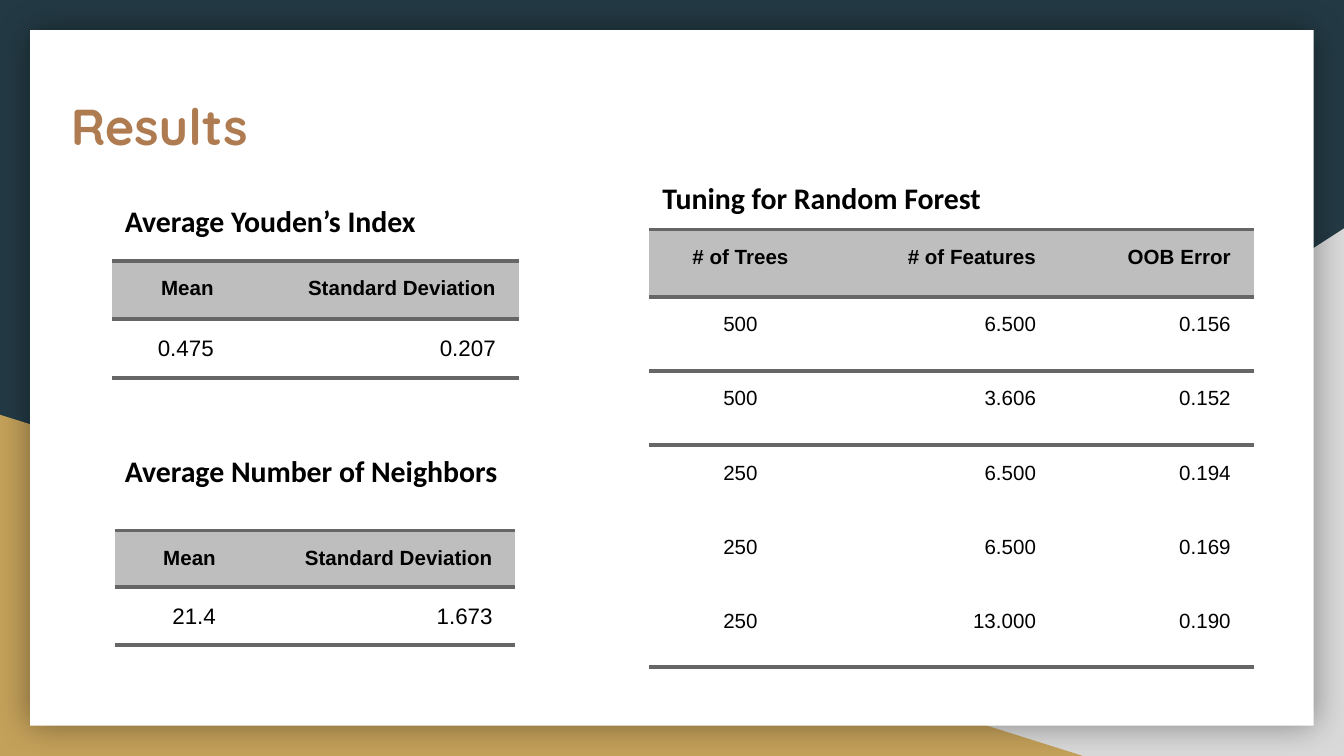
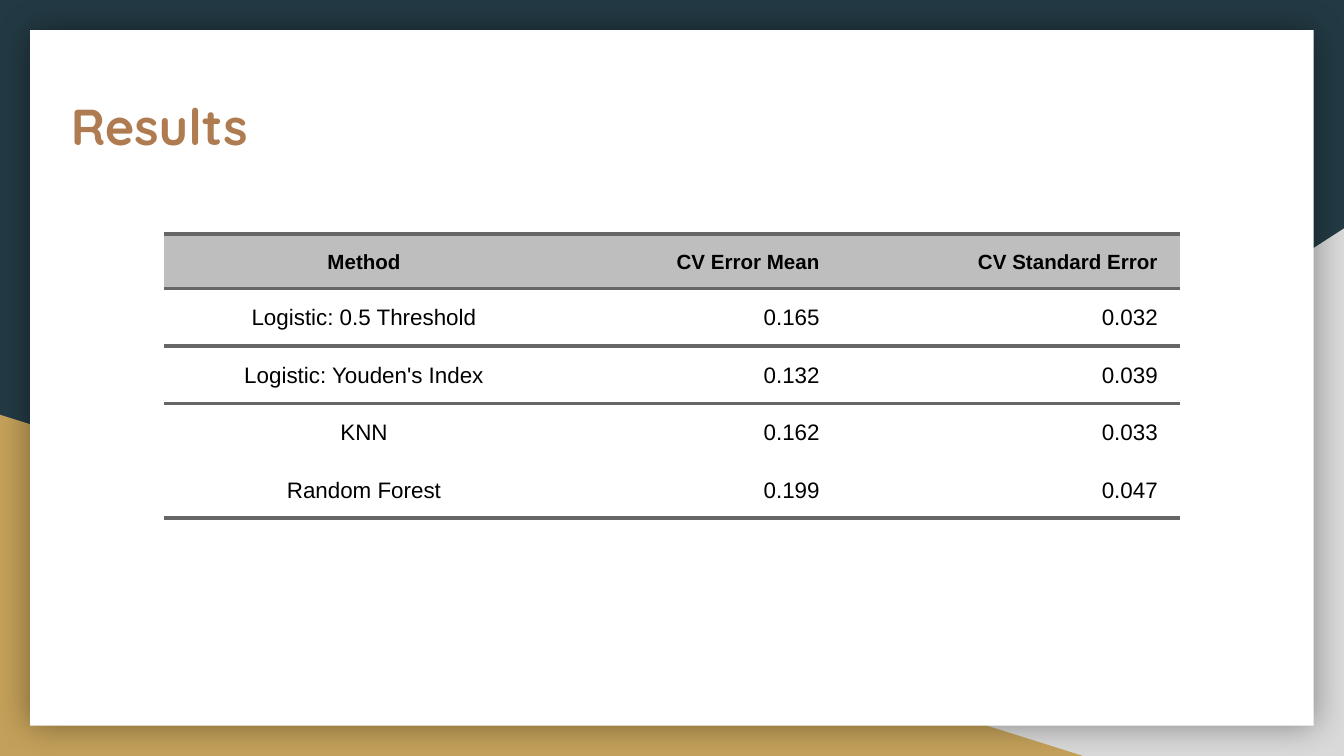
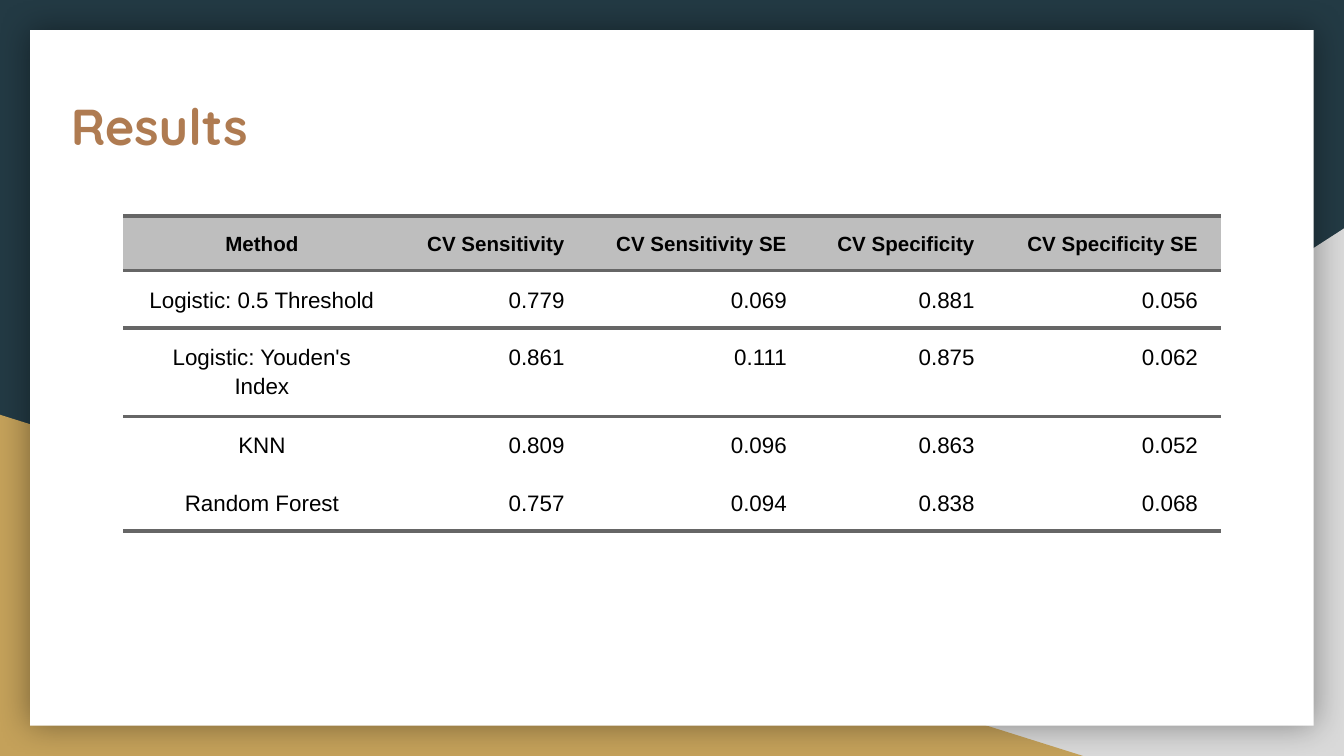
from dataclasses import dataclass

from lxml import etree
from pptx import Presentation
from pptx.dml.color import RGBColor
from pptx.enum.shapes import MSO_SHAPE
from pptx.enum.text import MSO_AUTO_SIZE, PP_ALIGN
from pptx.oxml.ns import qn
from pptx.util import Cm, Pt

RIGHT_TRIANGLE, RECTANGLE = MSO_SHAPE.RIGHT_TRIANGLE, MSO_SHAPE.RECTANGLE
CENTER, RIGHT = PP_ALIGN.CENTER, PP_ALIGN.RIGHT
FIT_SHAPE = MSO_AUTO_SIZE.SHAPE_TO_FIT_TEXT
PLAIN_TABLE_STYLE = "{2D5ABB26-0587-4C30-8999-92F81FD0307C}"


@dataclass(frozen=True)
class Theme:
    navy: str = "233A44"
    silver: str = "D9D9D9"
    gold: str = "C4A15A"
    white: str = "FFFFFF"
    black: str = "000000"
    bronze: str = "AF7B51"
    header: str = "BEBEBE"
    rule: str = "666666"
    title_font: str = "Quicksand"
    caption_font: str = "Calibri"
    table_font: str = "Arial"
    title_size: float = 27
    caption_size: float = 16
    header_size: float = 11
    rule_width: float = 2.25
    cell_spacing: float = 5
    shadow_blur: float = 18


THEME = Theme()
SLIDE_WIDTH, SLIDE_HEIGHT = 25.4, 14.29
CARD_MARGIN = 0.57
TEXT_INSET = 0.25
CELL_INDENT = 0.18
CAPTION_HEIGHT = 1.19

# All lengths are in centimetres; row_heights holds the header and a body row.
SLIDES = [
    {
        "title": "Results",
        "captions": [
            ("Tuning for Random Forest", 12.27, 3.15, 7.29),
            ("Average Youden’s Index", 2.11, 3.58, 7.29),
            ("Average Number of Neighbors", 2.11, 8.31, 8.15),
        ],
        "tables": [
            {
                "corner": (12.27, 4.34),
                "columns": (3.45, 4.29, 3.68),
                "row_heights": (1.27, 1.4),
                "body_size": 11,
                "first_column": CENTER,
                "rows": [
                    ("# of Trees", "# of Features", "OOB Error"),
                    ("500", "6.500", "0.156"),
                    ("500", "3.606", "0.152"),
                    ("250", "6.500", "0.194"),
                    ("250", "6.500", "0.169"),
                    ("250", "13.000", "0.190"),
                ],
            },
            {
                "corner": (2.11, 4.93),
                "columns": (2.36, 5.33),
                "row_heights": (1.1, 1.12),
                "body_size": 12,
                "first_column": RIGHT,
                "rows": [("Mean", "Standard Deviation"), ("0.475", "0.207")],
            },
            {
                "corner": (2.17, 10.03),
                "columns": (2.34, 5.23),
                "row_heights": (1.07, 1.09),
                "body_size": 12,
                "first_column": RIGHT,
                "rows": [("Mean", "Standard Deviation"), ("21.4", "1.673")],
            },
        ],
    },
    {
        "title": "Results",
        "captions": [],
        "tables": [
            {
                "corner": (3.1, 4.42),
                "columns": (7.56, 5.26, 6.39),
                "row_heights": (1, 1.05),
                "body_size": 12,
                "first_column": CENTER,
                "rows": [
                    ("Method", "CV Error Mean", "CV Standard Error"),
                    ("Logistic: 0.5 Threshold", "0.165", "0.032"),
                    ("Logistic: Youden's Index", "0.132", "0.039"),
                    ("KNN", "0.162", "0.033"),
                    ("Random Forest", "0.199", "0.047"),
                ],
            },
        ],
    },
    {
        "title": "Results",
        "captions": [],
        "tables": [
            {
                "corner": (2.33, 4.08),
                "columns": (5.24, 3.53, 4.2, 3.55, 4.22),
                "row_heights": (1, 1.05),
                "body_size": 12,
                "first_column": CENTER,
                "rows": [
                    ("Method", "CV Sensitivity", "CV Sensitivity SE",
                     "CV Specificity", "CV Specificity SE"),
                    ("Logistic: 0.5 Threshold", "0.779", "0.069", "0.881", "0.056"),
                    ("Logistic: Youden's Index", "0.861", "0.111", "0.875", "0.062"),
                    ("KNN", "0.809", "0.096", "0.863", "0.052"),
                    ("Random Forest", "0.757", "0.094", "0.838", "0.068"),
                ],
            },
        ],
    },
]


def rgb(color):
    return RGBColor.from_string(color)


def style_font(font, name, size, color, bold):
    font.name, font.size, font.bold = name, Pt(size), bold
    font.color.rgb = rgb(color)


def add_panel(slide, preset, left, top, width, height, color):
    panel = slide.shapes.add_shape(preset, Cm(left), Cm(top), Cm(width), Cm(height))
    panel.fill.solid()
    panel.fill.fore_color.rgb = rgb(color)
    panel.line.fill.background()
    panel.shadow.inherit = False
    return panel


def add_glow(panel):
    """Give the panel a soft, centred shadow."""
    effects = panel.element.spPr.find(qn("a:effectLst"))
    shadow = etree.SubElement(effects, qn("a:outerShdw"), dist="0", dir="0",
                              blurRad=str(Pt(THEME.shadow_blur)), rotWithShape="0")
    color = etree.SubElement(shadow, qn("a:srgbClr"), val=THEME.black)
    etree.SubElement(color, qn("a:alpha"), val="40000")


def add_backdrop(slide):
    for width, height, color in ((15.44, 9.97, THEME.silver), (20.47, 6.45, THEME.gold)):
        on_right = color == THEME.silver
        left = SLIDE_WIDTH - width if on_right else 0
        corner = add_panel(slide, RIGHT_TRIANGLE, left, SLIDE_HEIGHT - height,
                           width, height, color)
        if on_right:
            corner.element.spPr.find(qn("a:xfrm")).set("flipH", "1")
    card = add_panel(slide, RECTANGLE, CARD_MARGIN, CARD_MARGIN,
                     SLIDE_WIDTH - 2 * CARD_MARGIN, SLIDE_HEIGHT - 2 * CARD_MARGIN,
                     THEME.white)
    add_glow(card)


def set_insets(holder):
    holder.margin_left = holder.margin_right = Cm(TEXT_INSET)
    holder.margin_top = holder.margin_bottom = Cm(TEXT_INSET)


def add_text(slide, text, left, top, width, height, font_name, size, color):
    box = slide.shapes.add_textbox(Cm(left), Cm(top), Cm(width), Cm(height))
    frame = box.text_frame
    frame.word_wrap = True
    set_insets(frame)
    paragraph = frame.paragraphs[0]
    paragraph.text = text
    style_font(paragraph.font, font_name, size, color, True)
    return frame


def add_title(slide, text):
    add_text(slide, text, 1.09, 1.55, 20.85, 1.75,
             THEME.title_font, THEME.title_size, THEME.bronze)


def add_caption(slide, text, left, top, width):
    frame = add_text(slide, text, left, top, width, CAPTION_HEIGHT,
                     THEME.caption_font, THEME.caption_size, THEME.black)
    frame.auto_size = FIT_SHAPE


def add_rules(cell, sides):
    """Draw cell borders; sides follow the schema order lnT, lnB."""
    properties = cell._tc.get_or_add_tcPr()
    for position, side in enumerate(sides):
        line = etree.Element(qn(f"a:{side}"), w=str(Pt(THEME.rule_width)))
        fill = etree.SubElement(line, qn("a:solidFill"))
        etree.SubElement(fill, qn("a:srgbClr"), val=THEME.rule)
        properties.insert(position, line)


def fill_cell(cell, text, size, alignment, is_header):
    cell.fill.solid()
    cell.fill.fore_color.rgb = rgb(THEME.header if is_header else THEME.white)
    set_insets(cell)
    paragraph = cell.text_frame.paragraphs[0]
    paragraph.text = text
    paragraph.alignment = alignment
    paragraph.line_spacing = 1.15
    paragraph.space_before = paragraph.space_after = Pt(THEME.cell_spacing)
    style_font(paragraph.font, THEME.table_font, size, THEME.black, is_header)
    properties = paragraph._p.get_or_add_pPr()
    for side in ("marL", "marR"):
        properties.set(side, str(Cm(CELL_INDENT)))
    properties.set("indent", "0")


def add_results_table(slide, corner, columns, row_heights, body_size, first_column, rows):
    header_height, body_height = row_heights
    heights = [header_height] + [body_height] * (len(rows) - 1)
    left, top = corner
    frame = slide.shapes.add_table(len(rows), len(columns), Cm(left), Cm(top),
                                   Cm(sum(columns)), Cm(sum(heights)))
    table = frame.table
    table.first_row = table.horz_banding = False
    next(frame.element.iter(qn("a:tableStyleId"))).text = PLAIN_TABLE_STYLE
    for column, width in zip(table.columns, columns):
        column.width = Cm(width)
    ruled_below = {0, 1, len(rows) - 1}
    for r, values in enumerate(rows):
        table.rows[r].height = Cm(heights[r])
        is_header = r == 0
        size = THEME.header_size if is_header else body_size
        sides = ["lnT"] if is_header or r - 1 in ruled_below else []
        if r in ruled_below:
            sides.append("lnB")
        for c, text in enumerate(values):
            cell = table.cell(r, c)
            fill_cell(cell, text, size, RIGHT if c else first_column, is_header)
            add_rules(cell, sides)


def main():
    deck = Presentation()
    deck.slide_width, deck.slide_height = Cm(SLIDE_WIDTH), Cm(SLIDE_HEIGHT)
    blank = deck.slide_layouts[6]
    background = deck.slide_master.background.fill
    background.solid()
    background.fore_color.rgb = rgb(THEME.navy)
    for content in SLIDES:
        slide = deck.slides.add_slide(blank)
        add_backdrop(slide)
        add_title(slide, content["title"])
        for results in content["tables"]:
            add_results_table(slide, **results)
        for caption in content["captions"]:
            add_caption(slide, *caption)
    deck.save("out.pptx")


if __name__ == "__main__":
    main()
